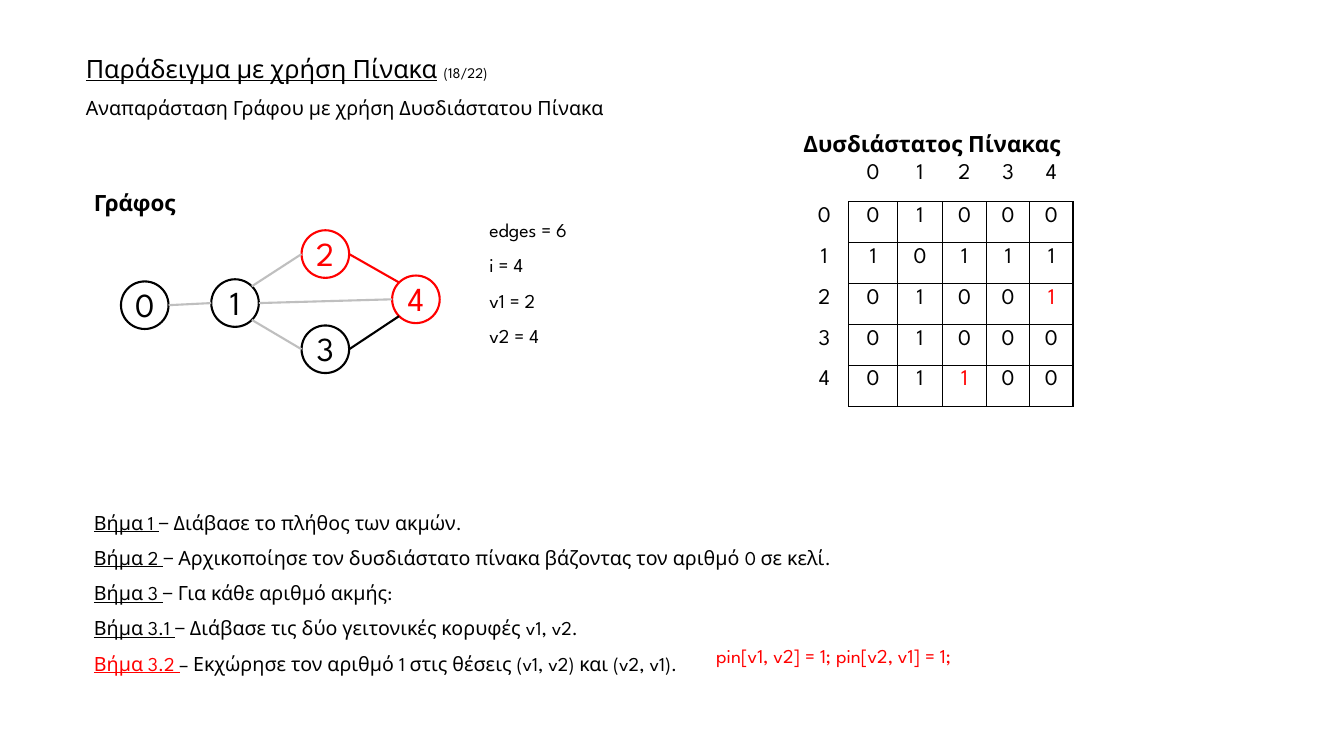
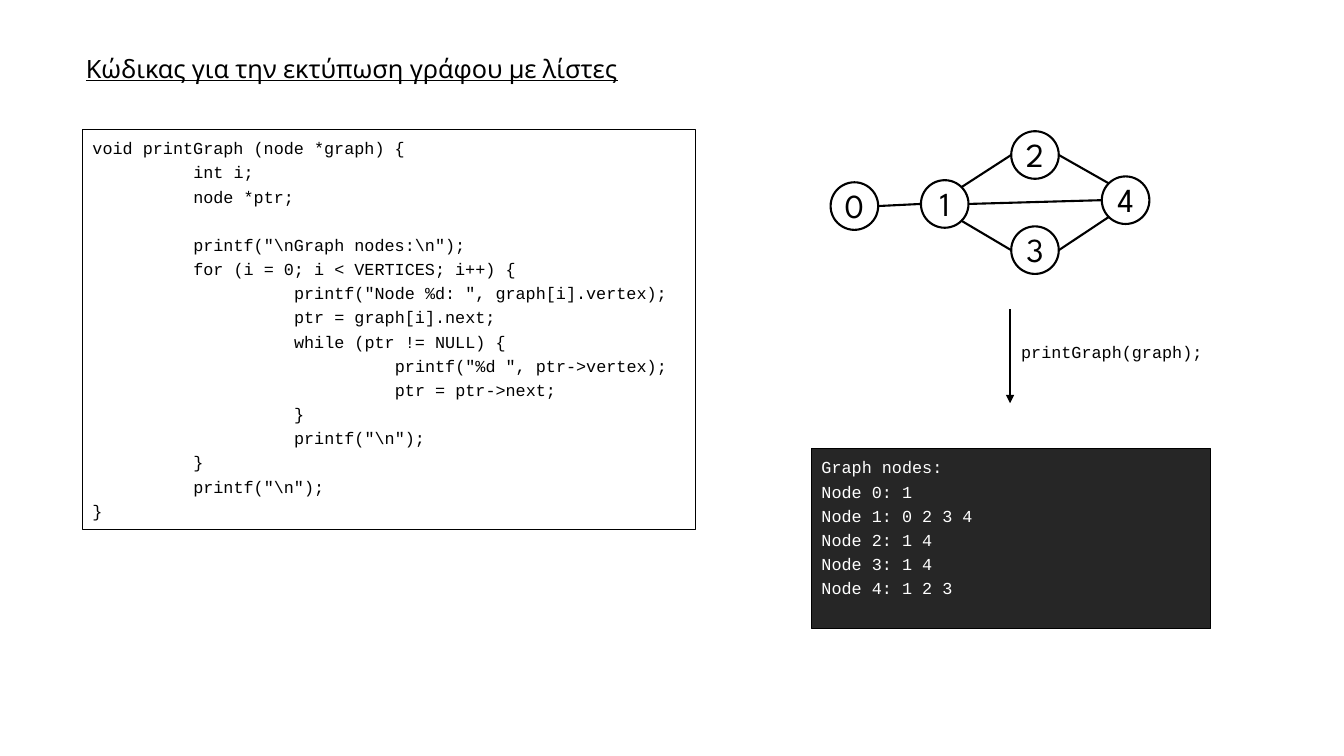
from dataclasses import dataclass
import math

import pptx
import pptx.dml.color
import pptx.enum.shapes
import pptx.enum.text
import pptx.oxml
import pptx.oxml.ns
import pptx.util

Pt = pptx.util.Pt
SHAPE = pptx.enum.shapes.MSO_SHAPE
ALIGN = pptx.enum.text.PP_ALIGN
ANCHOR = pptx.enum.text.MSO_ANCHOR

# Shared look
SANS, MONO = "League Spartan", "Courier New"
BLACK, RED, GREY, WHITE, DARK = "000000", "FF0000", "BFBFBF", "FFFFFF", "262626"
NODE_SIZE = 34
TAB_WIDTH, TAB_COUNT = 72, 3


@dataclass
class Span:
    text: str
    size: float = 14
    color: str = BLACK
    font: str = SANS
    bold: bool = False
    underline: bool = False


@dataclass
class Box:
    x: float
    y: float
    w: float
    h: float


@dataclass
class Edge:
    start: int
    end: int
    start_angle: float
    end_angle: float


# Node corners relative to the graph's own corner; angles run clockwise from the right
NODES = [(0, 36.5), (64.5, 35), (129, 0), (129, 68), (193.7, 32.3)]
EDGES = [
    Edge(0, 1, 0, 180),
    Edge(1, 2, -45, 180),
    Edge(1, 3, 45, 180),
    Edge(1, 4, 0, 180),
    Edge(2, 4, 0, -135),
    Edge(3, 4, 0, 135),
]

MATRIX = ["01000", "10111", "01001", "01000", "01100"]
RED_CELLS = {(2, 4), (4, 2)}
COLUMN_WIDTHS = [34.7, 35, 32.1, 31.4, 31, 30.8]
HEADER_HEIGHT, ROW_HEIGHT = 30.7, 29.25

STEPS = [
    ("Βήμα 1 ", "− Διάβασε το πλήθος των ακμών.", BLACK),
    ("Βήμα 2 ", "− Αρχικοποίησε τον δυσδιάστατο πίνακα βάζοντας τον αριθμό 0 σε κελί.", BLACK),
    ("Βήμα 3 ", "− Για κάθε αριθμό ακμής:", BLACK),
    ("Βήμα 3.1 ", "− Διάβασε τις δύο γειτονικές κορυφές v1, v2.", BLACK),
    ("Βήμα 3.2 ", "– Εκχώρησε τον αριθμό 1 στις θέσεις (v1, v2) και (v2, v1).", RED),
]

CODE = r"""void printGraph (node *graph) {
	int i;
	node *ptr;
	
	printf("\nGraph nodes:\n");
	for (i = 0; i < VERTICES; i++) {
		printf("Node %d: ", graph[i].vertex);
		ptr = graph[i].next;
		while (ptr != NULL) {
			printf("%d ", ptr->vertex);
			ptr = ptr->next;
		}
		printf("\n");
	}
	printf("\n");
}"""

OUTPUT = """Graph nodes:
Node 0: 1
Node 1: 0 2 3 4
Node 2: 1 4
Node 3: 1 4
Node 4: 1 2 3"""


def rgb(color: str) -> pptx.dml.color.RGBColor:
    return pptx.dml.color.RGBColor.from_string(color)


# Text
def put_text(tf, paragraphs: list[list[Span]], spacing: float = 1.0,
             before: float = 0, align=ALIGN.LEFT) -> None:
    for i, spans in enumerate(paragraphs):
        p = tf.paragraphs[0] if i == 0 else tf.add_paragraph()
        p.alignment = align
        p.line_spacing = spacing
        p.space_before = Pt(before if i else 0)
        for span in spans:
            r = p.add_run()
            r.text = span.text
            r.font.name = span.font
            r.font.size = Pt(span.size)
            r.font.bold = span.bold
            r.font.underline = span.underline
            r.font.color.rgb = rgb(span.color)


def add_tab_stops(p) -> None:
    stops = "".join(f'<a:tab pos="{Pt(TAB_WIDTH * n)}" algn="l"/>'
                    for n in range(1, TAB_COUNT + 1))
    p._p.get_or_add_pPr().append(pptx.oxml.parse_xml(
        f'<a:tabLst {pptx.oxml.ns.nsdecls("a")}>{stops}</a:tabLst>'))


def add_text(s, box: Box, paragraphs: list[list[Span]], spacing: float = 1.0,
             before: float = 0) -> None:
    sp = s.shapes.add_textbox(Pt(box.x), Pt(box.y), Pt(box.w), Pt(box.h))
    sp.text_frame.word_wrap = True
    put_text(sp.text_frame, paragraphs, spacing, before)


def add_title(s, title: str, number: str = "", subtitle: str = "") -> None:
    paragraphs = [[Span(title, 18, underline=True)]]
    if number:
        paragraphs[0] += [Span(" ", 18), Span(number, 10.5)]
    if subtitle:
        paragraphs.append([Span(subtitle)])
    add_text(s, Box(54.2, 37.2, 852, 75), paragraphs, 0.9, 10)


# Shapes and lines
def add_outlined(s, kind, box: Box, line: str, width: float, fill: str = ""):
    sp = s.shapes.add_shape(kind, Pt(box.x), Pt(box.y), Pt(box.w), Pt(box.h))
    sp.shadow.inherit = False
    if fill:
        sp.fill.solid()
        sp.fill.fore_color.rgb = rgb(fill)
    else:
        sp.fill.background()
    sp.line.color.rgb = rgb(line)
    sp.line.width = Pt(width)
    return sp


def add_line(s, start: tuple[float, float], end: tuple[float, float],
             color: str = BLACK, arrow: bool = False) -> None:
    cx = s.shapes.add_connector(pptx.enum.shapes.MSO_CONNECTOR.STRAIGHT,
                                *(Pt(v) for v in start + end))
    cx.line.color.rgb = rgb(color)
    cx.line.width = Pt(1.5)
    if arrow:
        tail = pptx.oxml.parse_xml(
            f'<a:tailEnd {pptx.oxml.ns.nsdecls("a")} type="triangle"/>')
        cx.line._get_or_add_ln().append(tail)
    cx._element.spPr.append(
        pptx.oxml.parse_xml(f'<a:effectLst {pptx.oxml.ns.nsdecls("a")}/>'))


def add_listing(s, box: Box, text: str, color: str, fill: str = "") -> None:
    sp = add_outlined(s, SHAPE.RECTANGLE, box, BLACK, 0.75, fill)
    tf = sp.text_frame
    tf.word_wrap = True
    tf.vertical_anchor = ANCHOR.TOP
    tf.margin_top = Pt(3.2)
    lines = [[Span(line, 12, color, MONO)] for line in text.split("\n")]
    put_text(tf, lines, 1.2)
    for p in tf.paragraphs:
        if p.text.startswith("\t"):
            add_tab_stops(p)


# Graph
def rim_point(x: float, y: float, node: int, angle: float) -> tuple[float, float]:
    radius = NODE_SIZE / 2
    left, top = NODES[node]
    turn = math.radians(angle)
    return (x + left + radius * (1 + math.cos(turn)),
            y + top + radius * (1 + math.sin(turn)))


def add_graph(s, x: float, y: float, node_colors: list[str],
              edge_colors: list[str]) -> None:
    for i, ((left, top), color) in enumerate(zip(NODES, node_colors)):
        box = Box(x + left, y + top, NODE_SIZE, NODE_SIZE)
        sp = add_outlined(s, SHAPE.OVAL, box, color, 1.5)
        tf = sp.text_frame
        tf.word_wrap = False
        tf.vertical_anchor = ANCHOR.MIDDLE
        tf.margin_left = tf.margin_right = tf.margin_top = 0
        tf.margin_bottom = Pt(1.2)
        put_text(tf, [[Span(str(i), 24, color)]], align=ALIGN.CENTER)
    for edge, color in zip(EDGES, edge_colors):
        add_line(s, rim_point(x, y, edge.start, edge.start_angle),
                 rim_point(x, y, edge.end, edge.end_angle), color)


# Adjacency matrix
def set_borders(cell, sides: str) -> None:
    tc_pr = cell._tc.get_or_add_tcPr()
    for side in "LRTB":
        paint = (f'<a:solidFill><a:srgbClr val="{BLACK}"/></a:solidFill>'
                 if side in sides else "<a:noFill/>")
        tc_pr.append(pptx.oxml.parse_xml(
            f'<a:ln{side} {pptx.oxml.ns.nsdecls("a")} w="{Pt(1)}">{paint}</a:ln{side}>'))


def add_matrix(s, x: float, y: float) -> None:
    n = len(MATRIX)
    header = " " + "".join(str(i) for i in range(n))
    rows = [header] + [f"{i}{values}" for i, values in enumerate(MATRIX)]
    frame = s.shapes.add_table(n + 1, n + 1, Pt(x), Pt(y), Pt(sum(COLUMN_WIDTHS)),
                               Pt(HEADER_HEIGHT + n * ROW_HEIGHT))
    table = frame.table
    table.first_row = table.horz_banding = False
    for column, width in zip(table.columns, COLUMN_WIDTHS):
        column.width = Pt(width)
    for i, values in enumerate(rows):
        table.rows[i].height = Pt(ROW_HEIGHT if i else HEADER_HEIGHT)
        for j, value in enumerate(values):
            cell = table.cell(i, j)
            if i and j:
                sides = "LRTB"
            elif i:
                sides = "R"
            else:
                sides = "B" if j else ""
            set_borders(cell, sides)
            cell.fill.background()
            if value.strip():
                color = RED if (i - 1, j - 1) in RED_CELLS else BLACK
                put_text(cell.text_frame, [[Span(value, 16, color)]],
                         align=ALIGN.CENTER)


# Slides
def build_matrix_slide(s) -> None:
    add_title(s, "Παράδειγμα με χρήση Πίνακα", "(18/22)",
              "Αναπαράσταση Γράφου με χρήση Δυσδιάστατου Πίνακα")
    add_graph(s, 86.4, 164.5, [BLACK, BLACK, RED, BLACK, RED],
              [GREY] * 4 + [RED, BLACK])
    add_text(s, Box(60, 131.5, 78, 26.5), [[Span("Γράφος", 16, bold=True)]])
    add_text(s, Box(566.7, 89.6, 234, 26.5),
             [[Span("Δυσδιάστατος Πίνακας", 16, bold=True)]])
    add_matrix(s, 571.5, 113.3)
    add_text(s, Box(60, 352.7, 889, 131),
             [[Span(label, color=color, underline=True), Span(text)]
              for label, text, color in STEPS], 1.5)
    variables = ["edges = 6", "i = 4", "v1 = 2", "v2 = 4"]
    add_text(s, Box(342.5, 154.2, 160, 110), [[Span(v)] for v in variables], 0.9, 10)
    add_text(s, Box(504.5, 458.5, 284.5, 28),
             [[Span("pin[v1, v2] = 1; pin[v2, v1] = 1;", color=RED)]], 0.9)


def build_code_slide(s) -> None:
    add_title(s, "Κώδικας για την εκτύπωση γράφου με λίστες")
    add_listing(s, Box(59, 92.5, 438, 286), CODE, BLACK)
    add_graph(s, 593.3, 93.7, [BLACK] * len(NODES), [BLACK] * len(EDGES))
    add_listing(s, Box(579.7, 320.5, 285, 128.5), OUTPUT, WHITE, DARK)
    add_line(s, (721.5, 221), (721.5, 288), arrow=True)
    add_text(s, Box(722.3, 240.5, 153.5, 22),
             [[Span("printGraph(graph);", 12, font=MONO)]])


def main() -> None:
    prs = pptx.Presentation()
    prs.slide_width, prs.slide_height = Pt(960), Pt(540)
    for build in (build_matrix_slide, build_code_slide):
        build(prs.slides.add_slide(prs.slide_layouts[6]))
    prs.save("out.pptx")


if __name__ == "__main__":
    main()
